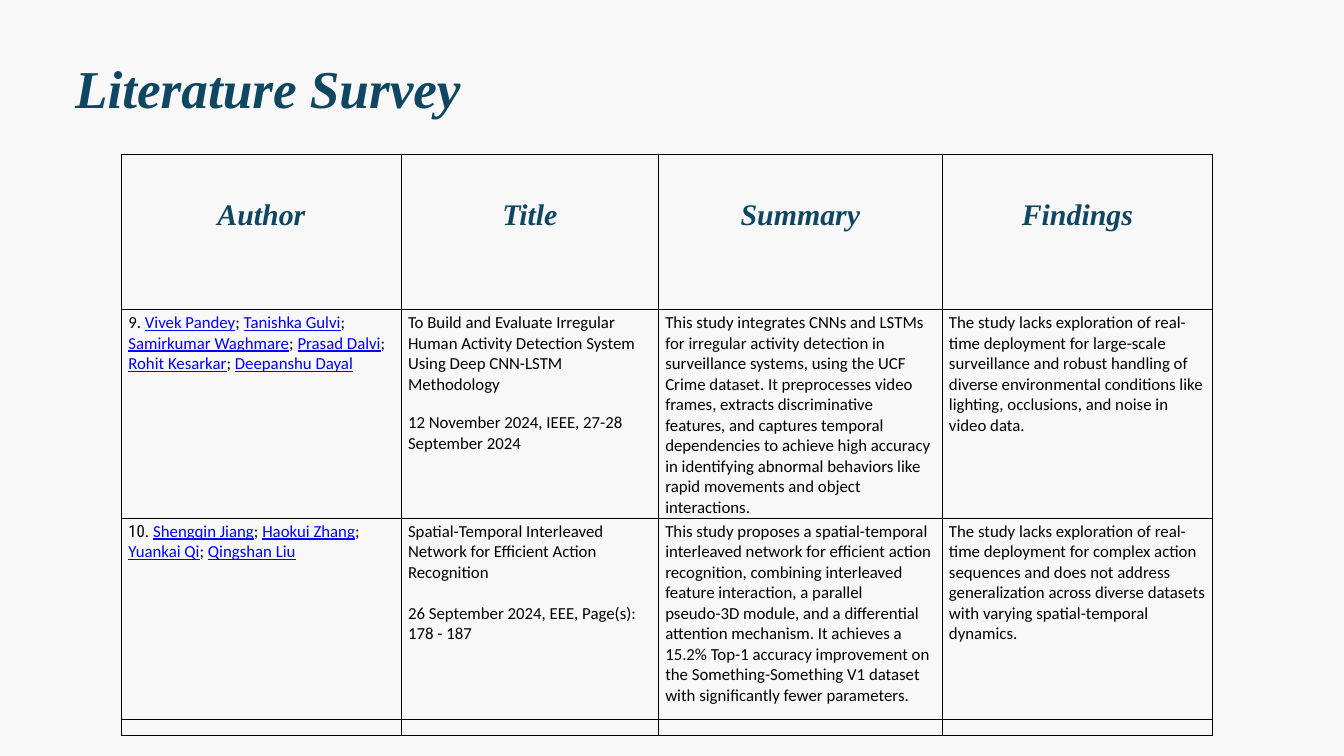
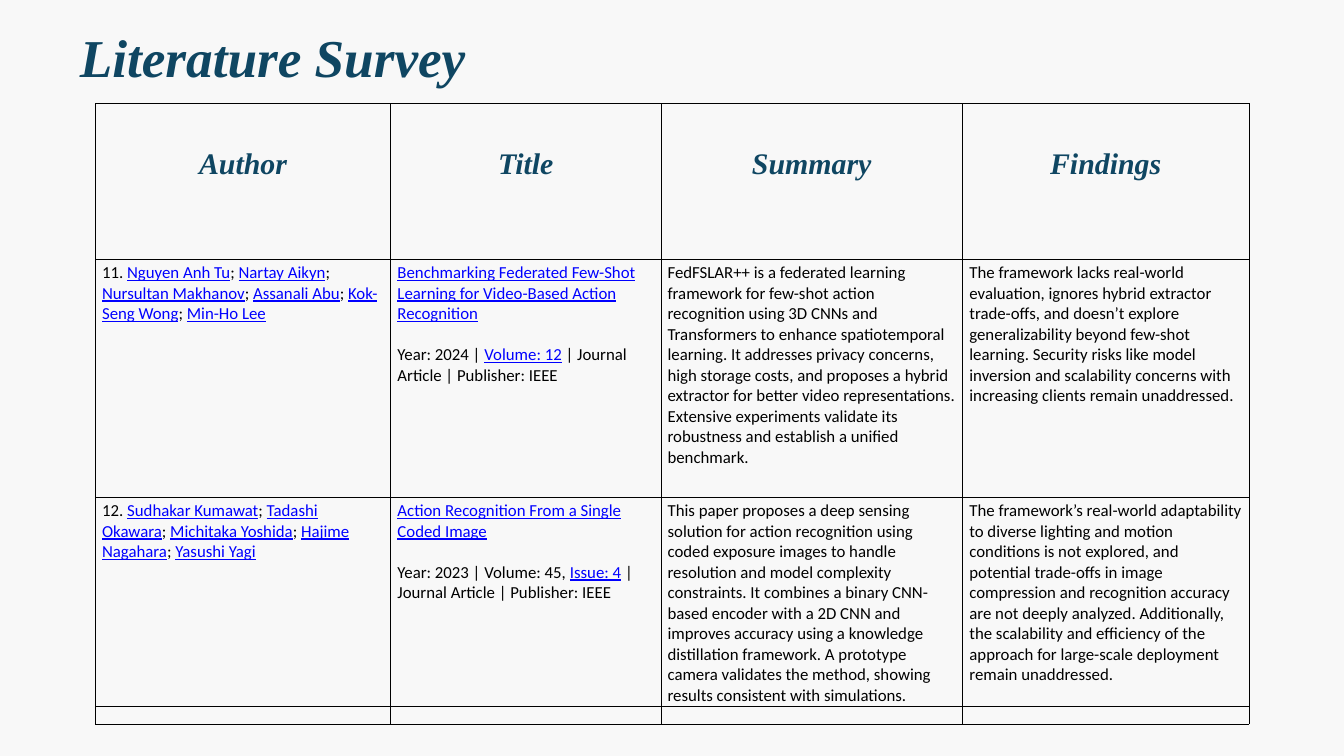
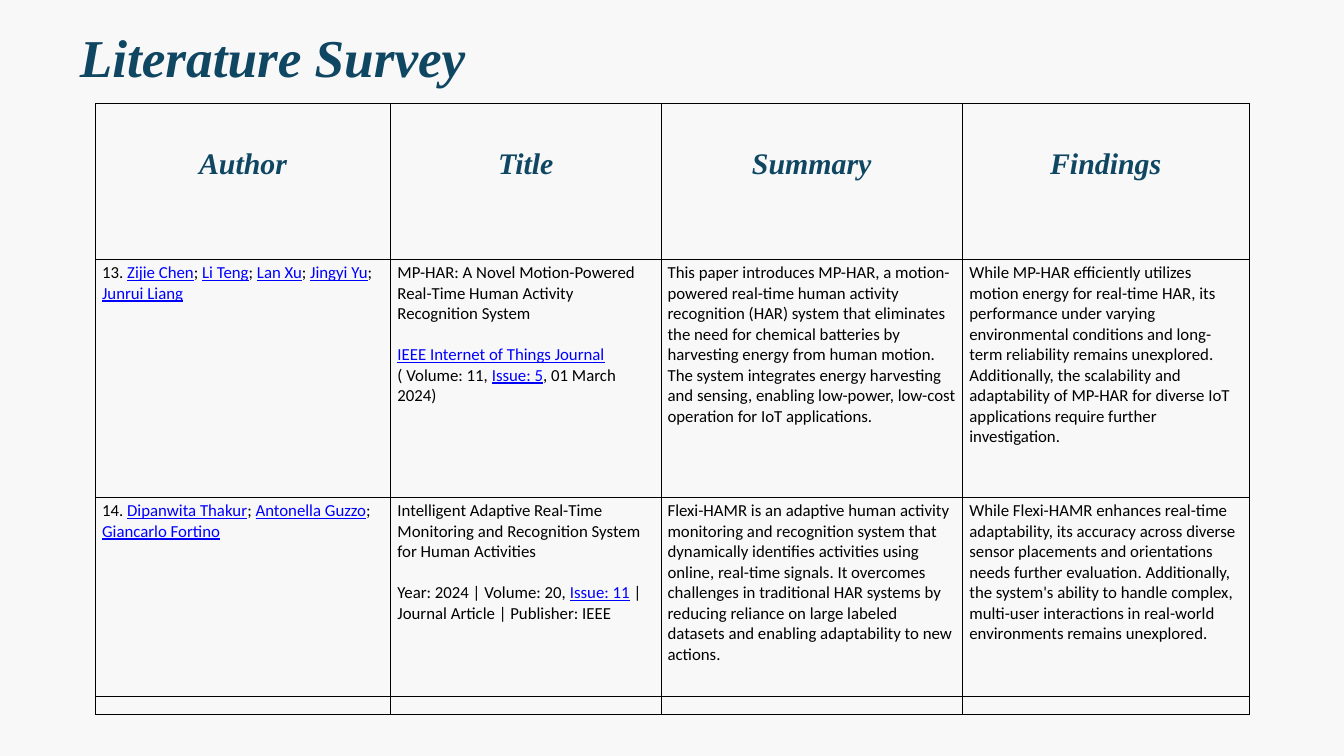
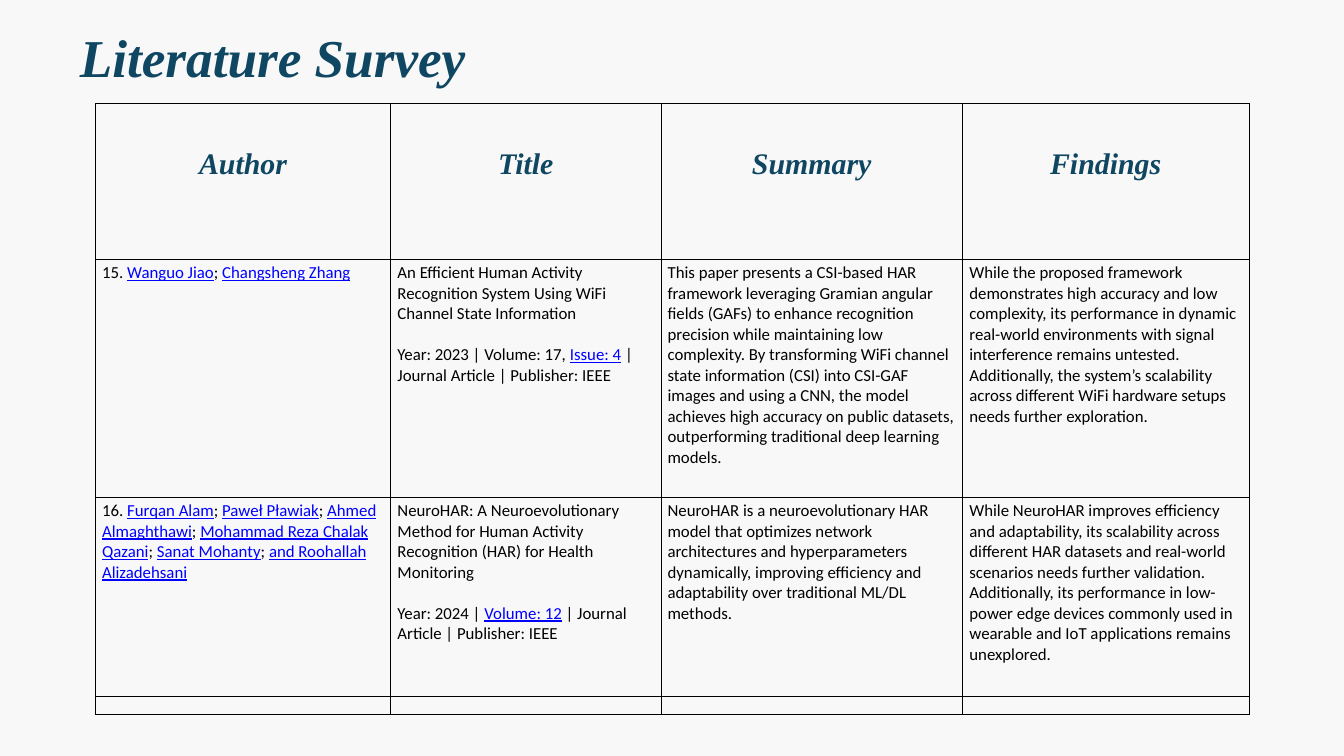
"""Build four literature survey slides, each with a title and a table of two papers."""

import dataclasses

import lxml.etree
import pptx
import pptx.dml.color
import pptx.enum.text
import pptx.oxml.ns
import pptx.slide
import pptx.table
import pptx.text.text
import pptx.util

Pt = pptx.util.Pt
RGBColor = pptx.dml.color.RGBColor
PP_ALIGN = pptx.enum.text.PP_ALIGN
qn = pptx.oxml.ns.qn


@dataclasses.dataclass(frozen=True)
class Theme:
    background: RGBColor = RGBColor(0xF8, 0xF8, 0xF8)
    heading: RGBColor = RGBColor(0x0F, 0x46, 0x62)
    body: RGBColor = RGBColor(0, 0, 0)
    link: RGBColor = RGBColor(0, 0, 0xFF)
    border: str = "000000"
    border_width: Pt = Pt(0.75)
    heading_font: str = "Times New Roman"
    body_font: str = "Calibri"
    title_size: Pt = Pt(57)
    header_size: Pt = Pt(32)
    body_size: Pt = Pt(18)
    empty_row_size: int = 8
    heading_line: Pt = Pt(79.8)


THEME = Theme()
HEADERS = ("Author", "Title", "Summary", "Findings")
LINK_MARK = "^"


@dataclasses.dataclass(frozen=True)
class Frame:
    """Places of the title and the table, in points."""

    title_left: float
    title_top: float
    table_left: float
    table_top: float
    columns: tuple[float, ...]
    rows: tuple[float, ...]


@dataclasses.dataclass(frozen=True)
class Paper:
    """One table row; text between link marks is shown as a link."""

    number: int
    authors: tuple[str, ...]
    title: str
    source: str
    summary: str
    findings: str
    number_font: str = THEME.body_font
    source_gap: float = 22


@dataclasses.dataclass(frozen=True)
class Survey:
    frame: Frame
    papers: tuple[Paper, Paper]


FIRST_FRAME = Frame(80.6, 48.2, 130.3, 165, (299.7, 275.6, 304, 289.8), (166.5, 223.5, 215.5, 17))
WIDE_FRAME = Frame(85.7, 15.1, 102.2, 110.9, (316.5, 289.4, 323.4, 306.6), (167, 255, 213.2, 19.4))
TALL_FRAME = dataclasses.replace(WIDE_FRAME, rows=(167, 255, 223.5, 19.4))

SURVEYS = (
    Survey(FIRST_FRAME, (
        Paper(
            9,
            ("Vivek Pandey", "Tanishka Gulvi", "Samirkumar Waghmare", "Prasad Dalvi",
             "Rohit Kesarkar", "Deepanshu Dayal"),
            "To Build and Evaluate Irregular Human Activity Detection System Using Deep "
            "CNN-LSTM Methodology",
            "12 November 2024, IEEE, 27-28 September 2024",
            "This study integrates CNNs and LSTMs for irregular activity detection in "
            "surveillance systems, using the UCF Crime dataset. It preprocesses video frames, "
            "extracts discriminative features, and captures temporal dependencies to achieve "
            "high accuracy in identifying abnormal behaviors like rapid movements and object "
            "interactions.",
            "The study lacks exploration of real-time deployment for large-scale surveillance "
            "and robust handling of diverse environmental conditions like lighting, "
            "occlusions, and noise in video data.",
            source_gap=19.5,
        ),
        Paper(
            10,
            ("Shengqin Jiang", "Haokui Zhang", "Yuankai Qi", "Qingshan Liu"),
            "Spatial-Temporal Interleaved Network for Efficient Action Recognition",
            "26 September 2024, EEE, Page(s): 178 - 187",
            "This study proposes a spatial-temporal interleaved network for efficient action "
            "recognition, combining interleaved feature interaction, a parallel pseudo-3D "
            "module, and a differential attention mechanism. It achieves a 15.2% Top-1 "
            "accuracy improvement on the Something-Something V1 dataset with significantly "
            "fewer parameters.",
            "The study lacks exploration of real-time deployment for complex action sequences "
            "and does not address generalization across diverse datasets with varying "
            "spatial-temporal dynamics.",
            number_font="Roboto Condensed",
        ),
    )),
    Survey(TALL_FRAME, (
        Paper(
            11,
            ("Nguyen Anh Tu", "Nartay Aikyn", "Nursultan Makhanov", "Assanali Abu",
             "Kok-Seng Wong", "Min-Ho Lee"),
            "^Benchmarking Federated Few-Shot Learning for Video-Based Action Recognition^",
            "Year: 2024 | ^Volume: 12^ | Journal Article | Publisher: IEEE",
            "FedFSLAR++ is a federated learning framework for few-shot action recognition "
            "using 3D CNNs and Transformers to enhance spatiotemporal learning. It addresses "
            "privacy concerns, high storage costs, and proposes a hybrid extractor for better "
            "video representations. Extensive experiments validate its robustness and "
            "establish a unified benchmark.",
            "The framework lacks real-world evaluation, ignores hybrid extractor trade-offs, "
            "and doesn’t explore generalizability beyond few-shot learning. Security risks "
            "like model inversion and scalability concerns with increasing clients remain "
            "unaddressed.",
        ),
        Paper(
            12,
            ("Sudhakar Kumawat", "Tadashi Okawara", "Michitaka Yoshida", "Hajime Nagahara",
             "Yasushi Yagi"),
            "^Action Recognition From a Single Coded Image^",
            "Year: 2023 | Volume: 45, ^Issue: 4^ | Journal Article | Publisher: IEEE",
            "This paper proposes a deep sensing solution for action recognition using coded "
            "exposure images to handle resolution and model complexity constraints. It "
            "combines a binary CNN-based encoder with a 2D CNN and improves accuracy using a "
            "knowledge distillation framework. A prototype camera validates the method, "
            "showing results consistent with simulations.",
            "The framework’s real-world adaptability to diverse lighting and motion "
            "conditions is not explored, and potential trade-offs in image compression and "
            "recognition accuracy are not deeply analyzed. Additionally, the scalability and "
            "efficiency of the approach for large-scale deployment remain unaddressed.",
        ),
    )),
    Survey(WIDE_FRAME, (
        Paper(
            13,
            ("Zijie Chen", "Li Teng", "Lan Xu", "Jingyi Yu", "Junrui Liang"),
            "MP-HAR: A Novel Motion-Powered Real-Time Human Activity Recognition System",
            "^IEEE Internet of Things Journal^ ( Volume: 11, ^Issue: 5^, 01 March 2024)",
            "This paper introduces MP-HAR, a motion-powered real-time human activity "
            "recognition (HAR) system that eliminates the need for chemical batteries by "
            "harvesting energy from human motion. The system integrates energy harvesting and "
            "sensing, enabling low-power, low-cost operation for IoT applications.",
            "While MP-HAR efficiently utilizes motion energy for real-time HAR, its "
            "performance under varying environmental conditions and long-term reliability "
            "remains unexplored. Additionally, the scalability and adaptability of MP-HAR for "
            "diverse IoT applications require further investigation.",
        ),
        Paper(
            14,
            ("Dipanwita Thakur", "Antonella Guzzo", "Giancarlo Fortino"),
            "Intelligent Adaptive Real-Time Monitoring and Recognition System for Human "
            "Activities",
            "Year: 2024 | Volume: 20, ^Issue: 11^ | Journal Article | Publisher: IEEE",
            "Flexi-HAMR is an adaptive human activity monitoring and recognition system that "
            "dynamically identifies activities using online, real-time signals. It overcomes "
            "challenges in traditional HAR systems by reducing reliance on large labeled "
            "datasets and enabling adaptability to new actions.",
            "While Flexi-HAMR enhances real-time adaptability, its accuracy across diverse "
            "sensor placements and orientations needs further evaluation. Additionally, the "
            "system's ability to handle complex, multi-user interactions in real-world "
            "environments remains unexplored.",
        ),
    )),
    Survey(WIDE_FRAME, (
        Paper(
            15,
            ("Wanguo Jiao", "Changsheng Zhang"),
            "An Efficient Human Activity Recognition System Using WiFi Channel State "
            "Information",
            "Year: 2023 | Volume: 17, ^Issue: 4^ | Journal Article | Publisher: IEEE",
            "This paper presents a CSI-based HAR framework leveraging Gramian angular fields "
            "(GAFs) to enhance recognition precision while maintaining low complexity. By "
            "transforming WiFi channel state information (CSI) into CSI-GAF images and using "
            "a CNN, the model achieves high accuracy on public datasets, outperforming "
            "traditional deep learning models.",
            "While the proposed framework demonstrates high accuracy and low complexity, its "
            "performance in dynamic real-world environments with signal interference remains "
            "untested. Additionally, the system’s scalability across different WiFi hardware "
            "setups needs further exploration.",
        ),
        Paper(
            16,
            ("Furqan Alam", "Paweł Pławiak", "Ahmed Almaghthawi",
             "Mohammad Reza Chalak Qazani", "Sanat Mohanty", "and Roohallah Alizadehsani"),
            "NeuroHAR: A Neuroevolutionary Method for Human Activity Recognition (HAR) for "
            "Health Monitoring",
            "Year: 2024 | ^Volume: 12^ | Journal Article | Publisher: IEEE",
            "NeuroHAR is a neuroevolutionary HAR model that optimizes network architectures "
            "and hyperparameters dynamically, improving efficiency and adaptability over "
            "traditional ML/DL methods.",
            "While NeuroHAR improves efficiency and adaptability, its scalability across "
            "different HAR datasets and real-world scenarios needs further validation. "
            "Additionally, its performance in low-power edge devices commonly used in "
            "wearable and IoT applications remains unexplored.",
        ),
    )),
)


def write_heading(paragraph: pptx.text.text._Paragraph, text: str, size: Pt, align: PP_ALIGN) -> None:
    paragraph.text = text
    paragraph.alignment = align
    paragraph.line_spacing = THEME.heading_line
    font = paragraph.runs[0].font
    font.name, font.size = THEME.heading_font, size
    font.bold = font.italic = True
    font.color.rgb = THEME.heading


def write_body(paragraph: pptx.text.text._Paragraph, text: str) -> None:
    for index, part in enumerate(text.split(LINK_MARK)):
        if not part:
            continue
        is_link = index % 2 == 1
        run = paragraph.add_run()
        run.text = part
        run.font.name, run.font.size = THEME.body_font, THEME.body_size
        run.font.bold = run.font.italic = False
        run.font.underline = is_link
        run.font.color.rgb = THEME.link if is_link else THEME.body


def format_cell(cell: pptx.table._Cell) -> None:
    cell.margin_bottom = 0
    properties = cell._tc.get_or_add_tcPr()
    for side in ("lnL", "lnR", "lnT", "lnB"):
        line = lxml.etree.SubElement(properties, qn(f"a:{side}"), w=str(THEME.border_width))
        fill = lxml.etree.SubElement(line, qn("a:solidFill"))
        lxml.etree.SubElement(fill, qn("a:srgbClr"), val=THEME.border)
    cell.fill.background()


def fill_paper_row(row: pptx.table._Row, paper: Paper) -> None:
    authors = "; ".join(f"^{author}^" for author in paper.authors)
    texts = (f"{paper.number}. {authors}", paper.title, paper.summary, paper.findings)
    for cell, text in zip(row.cells, texts):
        write_body(cell.text_frame.paragraphs[0], text)
    row.cells[0].text_frame.paragraphs[0].runs[0].font.name = paper.number_font
    source = row.cells[1].text_frame.add_paragraph()
    source.space_before = Pt(paper.source_gap)
    write_body(source, paper.source)


def add_title(slide: pptx.slide.Slide, frame: Frame) -> None:
    title = slide.shapes.title
    title.left, title.top = Pt(frame.title_left), Pt(frame.title_top)
    title.width, title.height = Pt(633.6), Pt(76.3)
    text_frame = title.text_frame
    text_frame.margin_left = text_frame.margin_right = 0
    text_frame.margin_top = text_frame.margin_bottom = 0
    text_frame.vertical_anchor = pptx.enum.text.MSO_ANCHOR.TOP
    text_frame.auto_size = pptx.enum.text.MSO_AUTO_SIZE.SHAPE_TO_FIT_TEXT
    text_frame.word_wrap = True
    write_heading(text_frame.paragraphs[0], "Literature Survey", THEME.title_size, PP_ALIGN.LEFT)


def add_survey_table(slide: pptx.slide.Slide, survey: Survey) -> None:
    frame = survey.frame
    table = slide.shapes.add_table(
        len(frame.rows), len(frame.columns), Pt(frame.table_left), Pt(frame.table_top),
        Pt(sum(frame.columns)), Pt(sum(frame.rows)),
    ).table
    table.first_row = table.horz_banding = False
    for column, width in zip(table.columns, frame.columns):
        column.width = Pt(width)
    for row, height in zip(table.rows, frame.rows):
        row.height = Pt(height)
    for cell in table.iter_cells():
        format_cell(cell)
    header_row, *paper_rows, empty_row = table.rows
    for cell, text in zip(header_row.cells, HEADERS):
        write_heading(cell.text_frame.paragraphs[0], text, THEME.header_size, PP_ALIGN.CENTER)
    for row, paper in zip(paper_rows, survey.papers):
        fill_paper_row(row, paper)
    for cell in empty_row.cells:
        paragraph = cell.text_frame.paragraphs[0]
        lxml.etree.SubElement(paragraph._p, qn("a:endParaRPr"), sz=str(THEME.empty_row_size * 100))


def main() -> None:
    presentation = pptx.Presentation()
    presentation.slide_width, presentation.slide_height = Pt(1440), Pt(810)
    background = presentation.slide_master.background.fill
    background.solid()
    background.fore_color.rgb = THEME.background
    title_only = presentation.slide_layouts.get_by_name("Title Only")
    for survey in SURVEYS:
        slide = presentation.slides.add_slide(title_only)
        add_title(slide, survey.frame)
        add_survey_table(slide, survey)
    presentation.save("out.pptx")


if __name__ == "__main__":
    main()
